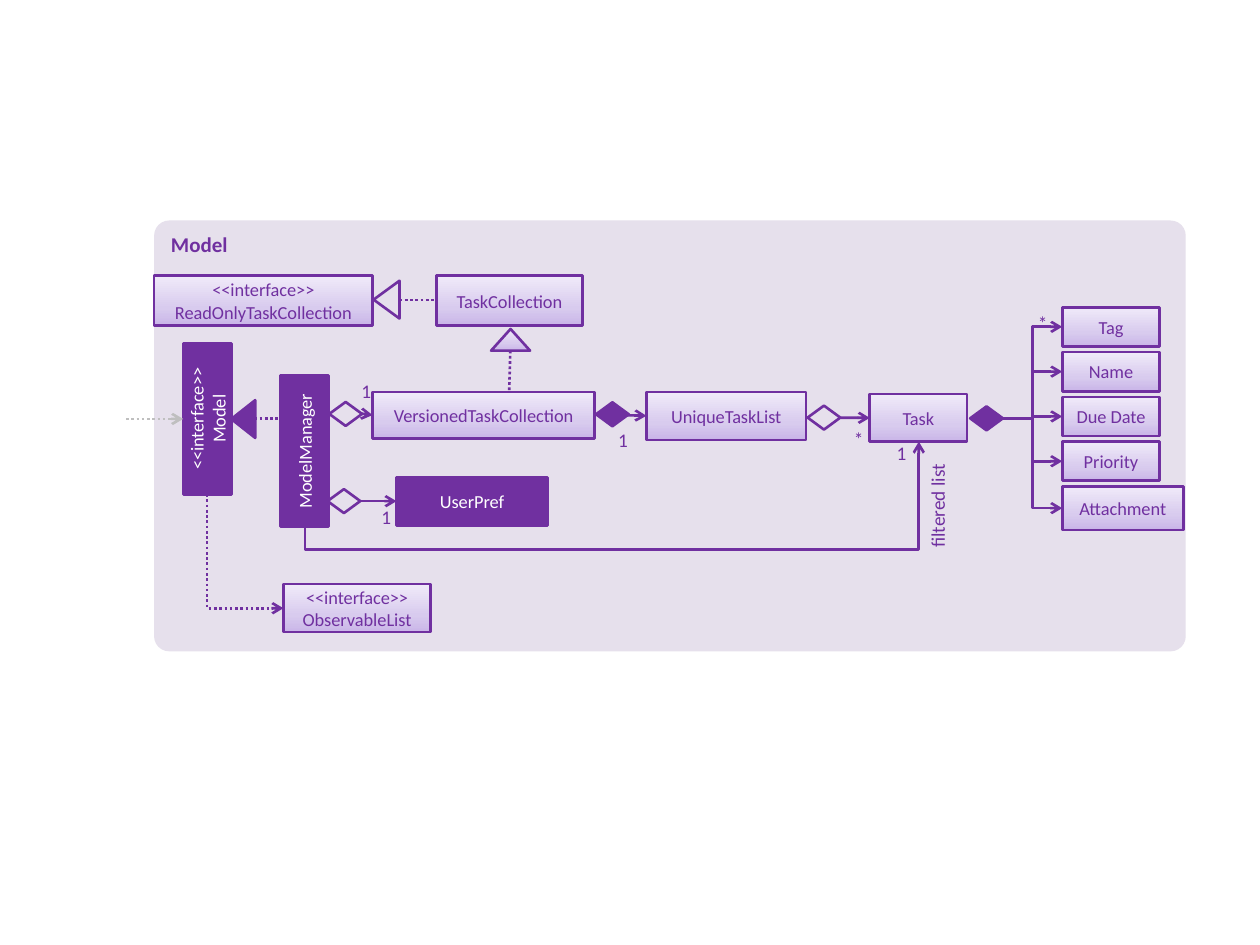
from copy import deepcopy
from pptx import Presentation
from pptx.dml.color import RGBColor
from pptx.enum.dml import MSO_LINE
from pptx.enum.shapes import MSO_CONNECTOR, MSO_SHAPE
from pptx.enum.text import MSO_ANCHOR, MSO_AUTO_SIZE, PP_ALIGN
from pptx.oxml.ns import qn
from pptx.oxml.xmlchemy import OxmlElement
from pptx.util import Pt

COLORS = {
    "purple": "7030A0",
    "panel": "E6E0EC",
    "white": "FFFFFF",
    "grey": "BFBFBF",
    "shade_low": "C9B5E8",
    "shade_mid": "D8CBEE",
    "shade_high": "F0EAF9",
}
FONT = "Calibri"


def color(name):
    return RGBColor.from_string(COLORS[name])


def write(frame, text, size, ink, align, bold=False):
    frame.word_wrap = True
    for number, paragraph_text in enumerate(text.split("\n")):
        paragraph = frame.paragraphs[0] if number == 0 else frame.add_paragraph()
        paragraph.alignment = align
        for position, line in enumerate(paragraph_text.split("\v")):
            if position:
                paragraph.add_line_break()
            run = paragraph.add_run()
            run.text = line
            run.font.name = FONT
            run.font.size = Pt(size)
            run.font.bold = bold
            run.font.color.rgb = color(ink)


def shade(shape):
    shape.fill.gradient()
    shape.fill.gradient_angle = 90
    low, high = shape.fill.gradient_stops
    low.color.rgb, low.position = color("shade_low"), 0
    high.color.rgb, high.position = color("shade_high"), 1
    stops = shape._element.spPr.find(".//" + qn("a:gsLst"))
    stops.insert(1, deepcopy(stops[0]))
    middle = shape.fill.gradient_stops[1]
    middle.color.rgb, middle.position = color("shade_mid"), 0.35


def add_figure(slide, kind, bounds, fill=None, outline="purple", rotation=0):
    figure = slide.shapes.add_shape(kind, *map(Pt, bounds))
    figure.shadow.inherit = False
    figure.rotation = rotation
    if fill == "gradient":
        shade(figure)
    elif fill:
        figure.fill.solid()
        figure.fill.fore_color.rgb = color(fill)
    else:
        figure.fill.background()
    if outline:
        figure.line.color.rgb = color(outline)
        figure.line.width = Pt(1.5)
    else:
        figure.line.fill.background()
    return figure


def add_class(slide, name, bounds, fill="gradient", rotation=0):
    box = add_figure(slide, MSO_SHAPE.RECTANGLE, bounds, fill, rotation=rotation)
    box.text_frame.vertical_anchor = MSO_ANCHOR.MIDDLE
    ink = "purple" if fill == "gradient" else "white"
    write(box.text_frame, name, 10.5, ink, PP_ALIGN.CENTER)


def add_diamond(slide, left, top, fill=None):
    add_figure(slide, MSO_SHAPE.FLOWCHART_DECISION, (left, top, 18.7, 13.7), fill)


def add_multiplicity(slide, mark, left, top):
    label = slide.shapes.add_textbox(*map(Pt, (left, top, 15.1, 14.4)))
    frame = label.text_frame
    frame.margin_left = frame.margin_right = frame.margin_top = frame.margin_bottom = 0
    write(frame, mark, 11, "purple", PP_ALIGN.CENTER)


def add_link(slide, start, end, arrow=True, dotted=False, ink="purple",
             kind=MSO_CONNECTOR.STRAIGHT):
    link = slide.shapes.add_connector(kind, *map(Pt, (*start, *end)))
    link.line.color.rgb = color(ink)
    link.line.width = Pt(1.5)
    if dotted:
        link.line.dash_style = MSO_LINE.ROUND_DOT
    properties = link._element.spPr
    if arrow:
        head = OxmlElement("a:tailEnd")
        head.set("type", "arrow")
        properties.find(qn("a:ln")).append(head)
    properties.append(OxmlElement("a:effectLst"))
    return link


def add_turned_elbow(slide, start, end, rotation, preset, bend=None, dotted=False):
    center_x, center_y = (start[0] + end[0]) / 2, (start[1] + end[1]) / 2
    sign = 1 if rotation == 90 else -1

    def unturn(point):
        return (center_x + sign * (point[1] - center_y),
                center_y - sign * (point[0] - center_x))

    link = add_link(slide, unturn(start), unturn(end), dotted=dotted,
                    kind=MSO_CONNECTOR.ELBOW)
    properties = link._element.spPr
    properties.find(qn("a:xfrm")).set("rot", str(rotation * 60000))
    geometry = properties.find(qn("a:prstGeom"))
    geometry.set("prst", preset)
    if bend is not None:
        guide = OxmlElement("a:gd")
        guide.set("name", "adj1")
        guide.set("fmla", f"val {round(bend * 100000)}")
        geometry.find(qn("a:avLst")).append(guide)


def add_panel(slide):
    panel = add_figure(slide, MSO_SHAPE.ROUNDED_RECTANGLE,
                       (88.1, 126, 589.5, 246.2), "panel", None)
    panel.adjustments[0] = 0.035
    panel.text_frame.vertical_anchor = MSO_ANCHOR.TOP
    write(panel.text_frame, "Model", 12, "purple", PP_ALIGN.LEFT, True)


def add_attributes(slide):
    hub = (573.1, 239)
    for row, name in enumerate(["Tag", "Name", "Due Date", "Priority", "Attachment"]):
        width, height = (69.2, 24.8) if name == "Attachment" else (55.7, 22.4)
        top = 175.6 + 25.6 * row
        add_class(slide, name, (607, top, width, height))
        add_link(slide, hub, (607, top + height / 2), kind=MSO_CONNECTOR.ELBOW)


def add_filter_label(slide):
    label = slide.shapes.add_textbox(*map(Pt, (501.1, 282.2, 69.1, 20.6)))
    label.rotation = 270
    write(label.text_frame, "filtered list", 11, "purple", PP_ALIGN.RIGHT)
    label.text_frame.auto_size = MSO_AUTO_SIZE.SHAPE_TO_FIT_TEXT


def main():
    deck = Presentation()
    deck.slide_width, deck.slide_height = Pt(720), Pt(540)
    slide = deck.slides.add_slide(deck.slide_layouts[6])
    add_panel(slide)

    for name, bounds, rotation in [
        ("UserPref", (226.6, 272.9, 86.4, 27.4), 0),
        ("ModelManager", (130.8, 244, 86.4, 27.4), 270),
        ("<<interface>>\nModel", (75.3, 225.6, 86.4, 27.4), 270),
    ]:
        add_class(slide, name, bounds, "purple", rotation)

    for name, bounds in [
        ("VersionedTaskCollection", (212.9, 224, 127, 26.6)),
        ("UniqueTaskList", (369.4, 224, 91.2, 27.4)),
        ("Task", (497, 225.2, 55.6, 27.2)),
        ("<<interface>>\vReadOnlyTaskCollection", (88.1, 157.5, 124.8, 28.6)),
        ("TaskCollection", (249.3, 157.5, 83.6, 28.6)),
        ("<<interface>>\vObservableList", (162, 333.8, 84.2, 27.4)),
    ]:
        add_class(slide, name, bounds)

    for bounds, fill, rotation in [
        ((128.2, 232.6, 21.6, 13.7), "purple", 270),
        ((280.6, 188, 22.3, 12.4), "gradient", 0),
        ((210.1, 163.8, 21.6, 14.8), "panel", 270),
    ]:
        add_figure(slide, MSO_SHAPE.ISOSCELES_TRIANGLE, bounds, fill, rotation=rotation)

    for left, top, fill in [
        (187.2, 279.5, None),
        (188.2, 229.7, None),
        (340.6, 229.9, "purple"),
        (461.5, 231.8, None),
        (554.4, 232.2, "purple"),
    ]:
        add_diamond(slide, left, top, fill)

    for start, end in [
        ((205.4, 286.4), (226.6, 286.4)),
        ((206.8, 236.4), (212.9, 237.2)),
        ((480.4, 238.7), (497, 238.8)),
        ((340.6, 236.8), (369.4, 237.6)),
    ]:
        add_link(slide, start, end)

    for start, end in [
        ((145.4, 239.3), (162.7, 239.3)),
        ((291.6, 200.4), (291, 223.4)),
        ((228.4, 171.4), (249.3, 171.4)),
    ]:
        add_link(slide, start, end, arrow=False, dotted=True)
    add_link(slide, (72, 239.4), (104.7, 239.4), dotted=True, ink="grey")

    add_turned_elbow(slide, (174.2, 301), (525, 252.4), 90, "bentConnector3", -0.267)
    add_turned_elbow(slide, (118.4, 282.4), (162, 347.6), 270, "bentConnector2", dotted=True)

    add_attributes(slide)
    add_filter_label(slide)
    for mark, left, top in [
        ("1", 348.5, 244.8),
        ("*", 483.1, 244.1),
        ("1", 201.8, 216.7),
        ("1", 213.1, 288.7),
        ("1", 507.6, 252),
        ("*", 588.2, 177.8),
    ]:
        add_multiplicity(slide, mark, left, top)

    deck.save("out.pptx")


main()
